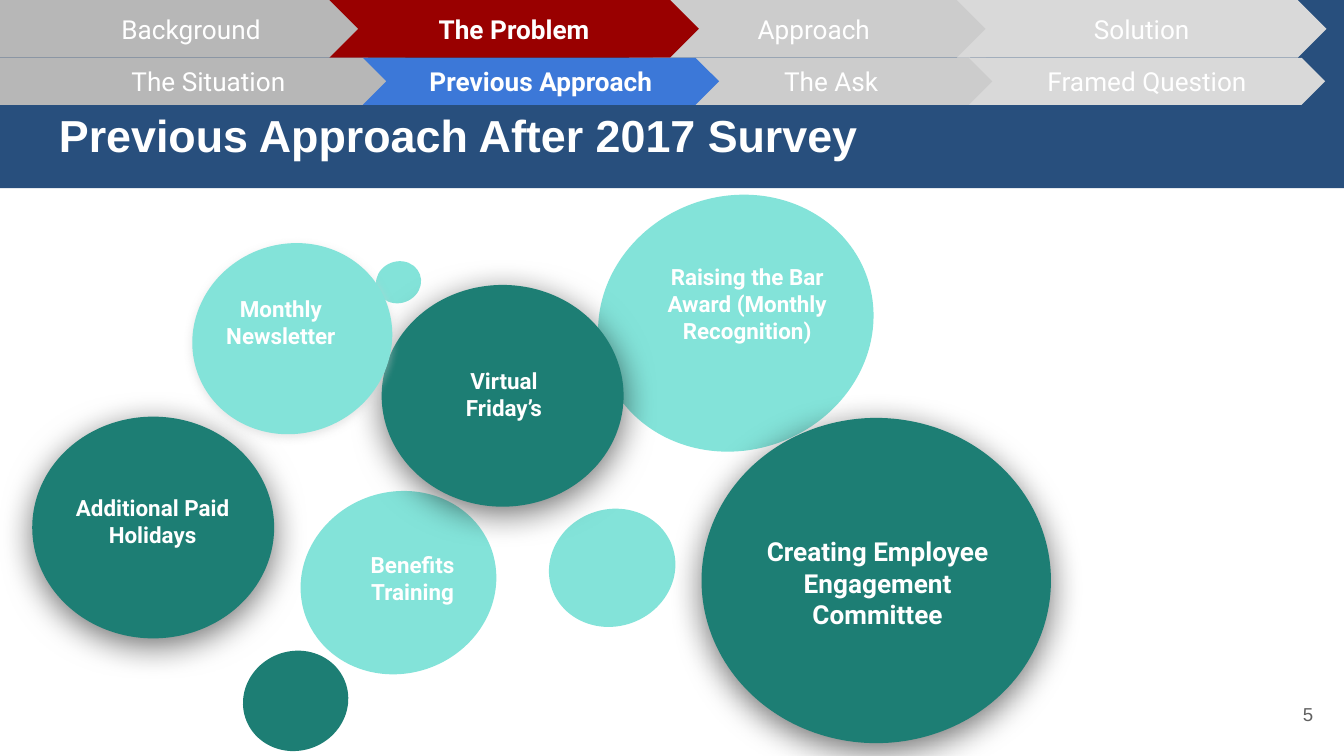
from pptx import Presentation
from pptx.dml.color import RGBColor
from pptx.enum.shapes import MSO_SHAPE as Kind
from pptx.enum.text import MSO_ANCHOR as Anchor, PP_ALIGN as Align
from pptx.oxml import parse_xml
from pptx.oxml.ns import nsdecls
from pptx.util import Inches, Pt

NAVY, TEAL, MINT, WHITE, GREY = "284F7D", "1D7E74", "83E3D9", "FFFFFF", "616161"
DARK = ("000000", 55, 18, 4)
SOFT = ("CCCCCC", 50, 4.5, 1.5)


def tint(code):
    return RGBColor.from_string(code)


class Deck:
    """Draws on one slide, with lengths in cells of a grid 100 columns wide."""

    def __init__(self, wide=10, high=5.625, cols=100):
        self.prs = Presentation()
        self.prs.slide_width, self.prs.slide_height = Inches(wide), Inches(high)
        self.cell = self.prs.slide_width / cols
        self.slide = self.prs.slides.add_slide(self.prs.slide_layouts[6])

    def place(self, box):
        return [round(n * self.cell) for n in box]

    def label(self, shape, words, size, bold=True, font="Roboto", color=WHITE, align=Align.CENTER):
        frame = shape.text_frame
        frame.word_wrap = True
        frame.vertical_anchor = Anchor.MIDDLE
        frame.margin_left = frame.margin_right = Inches(0.1)
        frame.margin_top = frame.margin_bottom = Inches(0.1)
        par = frame.paragraphs[0]
        par.text, par.alignment = words, align
        par.font.size, par.font.bold, par.font.name = Pt(size), bold, font
        par.font.color.rgb = tint(color)

    def shape(self, kind, box, fill, turn=0):
        item = self.slide.shapes.add_shape(kind, *self.place(box))
        item.shadow.inherit = False
        item.fill.solid()
        item.fill.fore_color.rgb = tint(fill)
        item.line.fill.background()
        item.rotation = turn
        return item

    def text(self, box, words, size, **style):
        self.label(self.slide.shapes.add_textbox(*self.place(box)), words, size, **style)

    def step(self, kind, box, fill, words, bold):
        self.label(self.shape(kind, box, fill), words, 14, bold)

    def bubble(self, box, fill, turn=0, glow=None):
        item = self.shape(Kind.OVAL, box, fill, turn)
        if glow:
            self.shade(item, *glow)

    def shade(self, item, color, alpha, blur, dist):
        props = item._element.spPr
        props.remove(props.find("{*}effectLst"))
        props.append(parse_xml(
            f'<a:effectLst {nsdecls("a")}><a:outerShdw blurRad="{Pt(blur)}" dist="{Pt(dist)}" '
            f'dir="5400000" algn="bl" rotWithShape="0"><a:srgbClr val="{color}">'
            f'<a:alpha val="{alpha * 1000}"/></a:srgbClr></a:outerShdw></a:effectLst>'))

    def track(self, top, high, first, wide, lefts, names, live, hue):
        fills = ["B7B7B7", hue, "CCCCCC", "D9D9D9"]
        for i in (2, 0, 1, 3):
            kind = Kind.CHEVRON if i else Kind.PENTAGON
            box = (lefts[i], top, wide if i else first, high)
            self.step(kind, box, fills[i], names[i], i == live)


def main():
    deck = Deck()
    deck.shape(Kind.RECTANGLE, (0, 0, 100, 14), NAVY)
    deck.text((3.4, 7.9, 88.1, 4.3), "Previous Approach After 2017 Survey", 24,
              font="Arial", align=Align.LEFT)
    deck.text((92.7, 51, 6, 4.3), "5", 10, bold=False, font="Arial",
              color=GREY, align=Align.RIGHT)

    deck.track(0, 4.3, 29.5, 27.5, (0, 24.5, 46.8, 71.2),
               ("Background", "The Problem", "Approach", "Solution"), 1, "990000")
    deck.track(4.3, 3.5, 31.9, 26.5, (0, 27, 48.6, 72.1),
               ("The Situation", "Previous Approach", "The Ask", "Framed Question"), 1, "3C78D8")

    for box in ((41.2, 37.5, 8.7, 9.5), (22.9, 36, 13.5, 14.7),
                (45.3, 13.7, 18.9, 20.7), (28.1, 19.3, 3.1, 3.4)):
        deck.bubble(box, MINT, 250)
    for box in ((52.2, 31.1, 26, 24.2), (28.4, 21.2, 18, 16.5), (2.4, 31, 18, 16.5)):
        deck.bubble(box, TEAL, glow=DARK)
    deck.bubble((14.7, 17.7, 14.1, 15), MINT, 248.4, SOFT)
    deck.bubble((18.3, 48.2, 7.4, 7.9), TEAL, 248.4)

    for box, words, size in (
            ((55.4, 37.6, 19.8, 11.5), "Creating Employee Engagement Committee", 14),
            ((31.4, 23.8, 12.2, 11), "Virtual Friday’s", 12),
            ((47.6, 17.1, 16, 11), "Raising the Bar Award (Monthly Recognition)", 12),
            ((24.6, 37.5, 12.2, 11), "Benefits Training", 12),
            ((2.9, 33.3, 16.9, 11), "Additional Paid Holidays", 12),
            ((14.8, 18.5, 12.2, 11), "Monthly Newsletter", 12)):
        deck.text(box, words, size)
    deck.prs.save("out.pptx")


if __name__ == "__main__":
    main()
